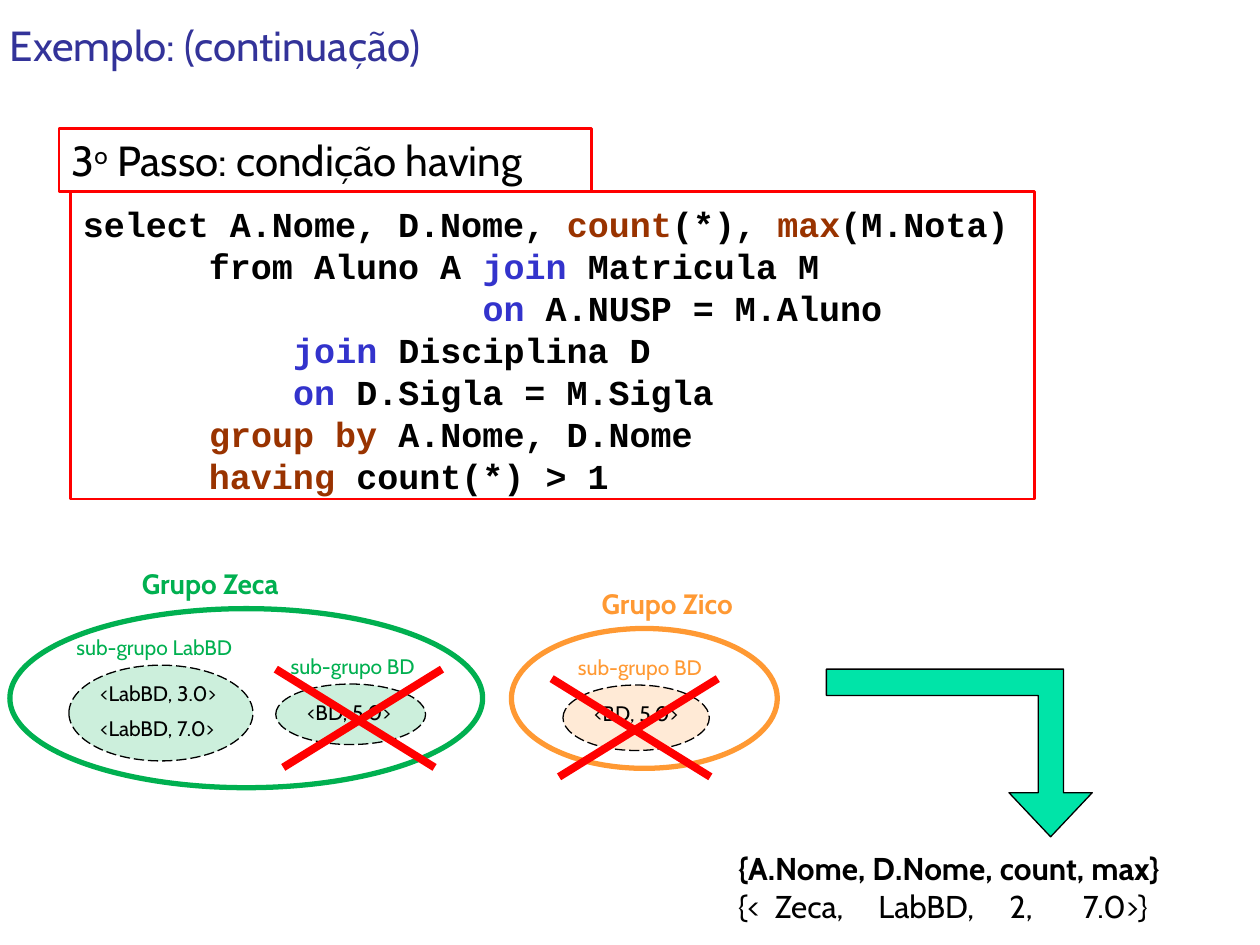
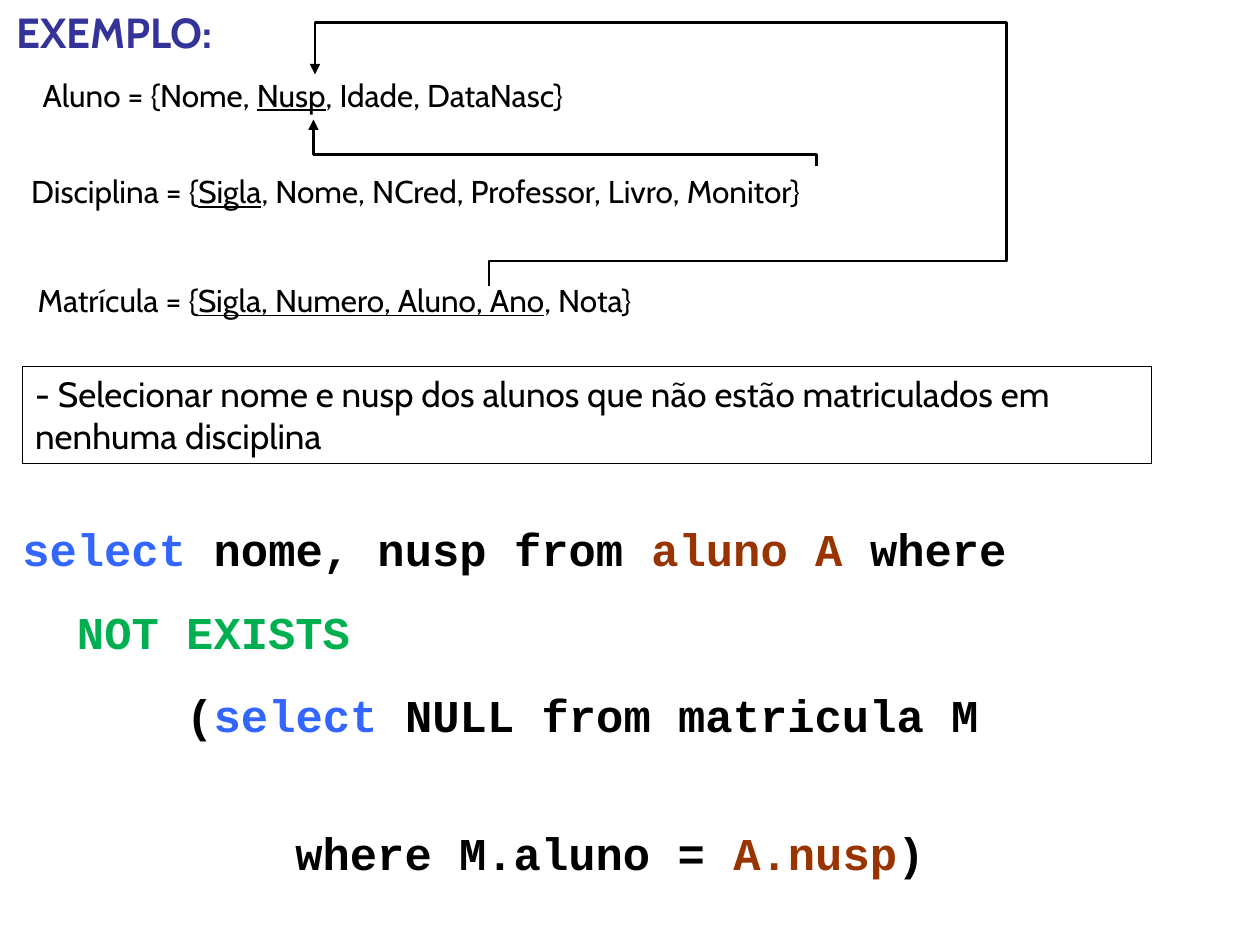
from lxml.etree import SubElement
from pptx import Presentation
from pptx.dml.color import RGBColor
from pptx.enum.dml import MSO_LINE
from pptx.enum.shapes import MSO_CONNECTOR, MSO_SHAPE
from pptx.enum.text import MSO_ANCHOR, MSO_AUTO_SIZE, PP_ALIGN
from pptx.oxml.ns import qn
from pptx.util import Cm, Pt

COLOURS = {
    "text": "000000", "title": "333399", "frame": "FF0000", "join": "3333CC",
    "select": "3366FF", "keyword": "993300", "green": "00B050",
    "orange": "FF9933", "arrow": "00E4A8",
}
PROSE, CODE = "Cabin", "Courier New"
CODE_LINE = 1.2  # line height of code, in ems


def rgb(colour):
    return RGBColor.from_string(COLOURS[colour])


def cm(*lengths):
    return [Cm(length) for length in lengths]


# Text: a paragraph is a list of runs, each (text, colour, extra format values)
def write(frame, paragraphs, size, colour="text", font=PROSE, **extra):
    for key, value in dict(word_wrap=True, auto_size=MSO_AUTO_SIZE.NONE,
                           vertical_anchor=MSO_ANCHOR.TOP).items():
        setattr(frame, key, value)
    for index, runs in enumerate(paragraphs):
        paragraph = frame.paragraphs[0] if index == 0 else frame.add_paragraph()
        paragraph.alignment = PP_ALIGN.LEFT
        for words, *style in [(runs,)] if isinstance(runs, str) else runs:
            run = paragraph.add_run()
            run.text = words
            run_colour = style[0] if style else colour
            values = dict(name=font, size=Pt(size), **extra)
            values.update(style[1] if len(style) > 1 else {})
            for key, value in values.items():
                setattr(run.font, key, value)
            run.font.color.rgb = rgb(run_colour)
    return frame


def write_code(frame, lines, size):
    write(frame, lines, size, font=CODE, bold=True)
    frame.margin_top = Cm(0.22)
    for line in frame.paragraphs:
        line.line_spacing = Pt(CODE_LINE * size)


def add_text(slide, box, paragraphs, size, **style):
    return write(slide.shapes.add_textbox(*cm(*box)).text_frame, paragraphs, size, **style)


def add_title(slide, box, words, **style):
    title = slide.shapes.title
    title.left, title.top, title.width, title.height = cm(*box)
    return write(title.text_frame, [words], 24, colour="title", **style)


# Shapes
def outline(shape, colour, width, fill=None, opacity=None):
    shape.shadow.inherit = False
    shape.line.color.rgb = rgb(colour)
    shape.line.width = Pt(width)
    if fill is None:
        shape.fill.background()
        return shape
    shape.fill.solid()
    shape.fill.fore_color.rgb = rgb(fill)
    if opacity:
        tint = shape.fill._xPr.find(".//" + qn("a:srgbClr"))
        SubElement(tint, qn("a:alpha")).set("val", str(opacity * 1000))
    return shape


def add_outlined(slide, kind, box, colour, width, **fill):
    return outline(slide.shapes.add_shape(kind, *cm(*box)), colour, width, **fill)


def add_path(slide, origin, points, width, close=False, fill=None):
    corners = [cm(origin[0] + x, origin[1] + y) for x, y in points]
    builder = slide.shapes.build_freeform(*corners[0])
    builder.add_line_segments(corners[1:], close=close)
    return outline(builder.convert_to_shape(), "text", width, fill=fill)


# Slide 1 regions
def add_step(slide, box, heading, lines):
    left, top, width, height = box
    head_height = 1.27
    head = add_outlined(slide, MSO_SHAPE.RECTANGLE, (left, top, 10.74, head_height), "frame", 1.5)
    write(head.text_frame, [heading], 24)
    ordinal = head.text_frame.paragraphs[0].runs[1]
    ordinal._r.get_or_add_rPr().set("baseline", "30000")
    body = add_outlined(slide, MSO_SHAPE.RECTANGLE,
                        (left + 0.23, top + head_height, width - 0.23, height - head_height),
                        "frame", 1.5)
    write_code(body.text_frame, lines, 20)


def add_cross(slide, left, top):
    width, height, shift = 3.2, 1.98, 0.15
    for start, end in ((0, width), (width + shift, shift)):
        stroke = slide.shapes.add_connector(
            MSO_CONNECTOR.STRAIGHT, *cm(left + start, top, left + end, top + height))
        stroke.line.color.rgb = rgb("frame")
        stroke.line.width = Pt(4.5)
        SubElement(stroke._element.spPr, qn("a:effectLst"))


def add_subgroup(slide, box, colour, name, name_shift, values, cross=None):
    left, top, width, height = box
    oval = add_outlined(slide, MSO_SHAPE.OVAL, box, "text", 0.75, fill=colour, opacity=20)
    oval.line.dash_style = MSO_LINE.LONG_DASH
    add_text(slide, (left + name_shift, top - 0.74, 4, 0.76), [name], 12, colour=colour)
    for row, value in enumerate(values):
        add_text(slide, (left + 0.38, top + 0.18 + 0.71 * row, 3.1, 0.76), [value], 12)
    if cross:
        add_cross(slide, left + cross[0], top + cross[1])


def add_group(slide, box, colour, name, name_left, subgroups):
    left, top = box[:2]
    add_outlined(slide, MSO_SHAPE.OVAL, box, colour, 3)
    add_text(slide, (left + name_left, top - 0.97, 3.7, 0.94), [name], 16,
             colour=colour, bold=True)
    for (x, y, width, height), *content in subgroups:
        add_subgroup(slide, (left + x, top + y, width, height), colour, *content)


def add_result(slide, box):
    left, top, width, height = box
    # Bent arrow leading down to the result
    add_path(slide, (left + 1.78, top), [
        (0, 0.53), (4.27, 0.53), (4.27, 2.49), (3.68, 2.49), (4.52, 3.38),
        (5.36, 2.49), (4.78, 2.49), (4.78, 0), (0, 0)], 0.75, close=True, fill="arrow")
    result = add_text(slide, (left, top + 3.63, width, height - 3.63), [
        [("{A.Nome, D.Nome, count, max}", "text", {"bold": True})],
        "{<\tZeca,\tLabBD,\t2,\t7.0>}"], 18)
    for side in ("left", "top", "right", "bottom"):
        setattr(result, f"margin_{side}", 0)
    tabs = SubElement(result.paragraphs[1]._p.get_or_add_pPr(), qn("a:tabLst"))
    for stop in cm(0.74, 2.83, 5.47, 6.95):
        tab = SubElement(tabs, qn("a:tab"))
        tab.set("pos", str(stop))
        tab.set("algn", "l")


def build_having(slide):
    title = add_title(slide, (0.2, 0.38, 11.51, 1.02), "Exemplo: (continuação)")
    title.vertical_anchor = MSO_ANCHOR.BOTTOM
    for side in ("left", "top", "right", "bottom"):
        setattr(title, f"margin_{side}", 0)

    add_step(slide, (1.19, 2.59, 19.66, 7.47),
             [("3",), ("o",), (" Passo: condição having",)], [
        [("select A.Nome, D.Nome, ",), ("count", "keyword"), ("(*), ",),
         ("max", "keyword"), ("(M.Nota)",)],
        [("      from Aluno A ",), ("join", "join"), (" Matricula M",)],
        [("                   ",), ("on", "join"), (" A.NUSP = M.Aluno",)],
        [("          ",), ("join", "join"), (" Disciplina D",)],
        [("          ",), ("on", "join"), (" D.Sigla = M.Sigla",)],
        [("      ",), ("group by ", "keyword"), ("A.Nome, D.Nome",)],
        [("      having", "keyword"), (" count(*) > 1",)],
    ])

    add_group(slide, (0.2, 12.27, 9.53, 3.61), "green", "Grupo Zeca", 2.41, [
        ((1.19, 1.14, 3.71, 1.93), "sub-grupo LabBD", -0.1, ["<LabBD, 3.0>", "<LabBD, 7.0>"]),
        ((5.36, 1.52, 3.02, 1.22), "sub-grupo BD", 0.05, ["<BD, 5.0>"], (0, -0.3)),
    ])
    add_group(slide, (10.31, 12.67, 5.36, 2.82), "orange", "Grupo Zico", 1.57, [
        ((1.04, 1.14, 2.95, 1.32), "sub-grupo BD", 0.05, ["<BD, 5.0>"], (-0.23, -0.13)),
    ])
    add_result(slide, (14.88, 13.49, 10.31, 5.15))


# Slide 2 regions
def add_schema(slide, box):
    left, top, width, _ = box
    relations = [
        (0.23, 0.94, "Aluno = {Nome, ", "Nusp", ", Idade, DataNasc}"),
        (0, 2.89, "Disciplina = {", "Sigla", ", Nome, NCred, Professor, Livro, Monitor}"),
        (0.13, 5.08, "Matrícula = {", "Sigla, Numero, Aluno, Ano", ", Nota}"),
    ]
    for x, y, start, key, rest in relations:
        add_text(slide, (left + x, top + y, width - 2, 1.02),
                 [[(start,), (key, "text", {"underline": True}), (rest,)]], 18)
    # Foreign keys, both pointing at Nusp
    references = [
        [(9.48, 5.31), (9.48, 4.8), (19.91, 4.8), (19.91, 0), (5.97, 0), (5.97, 1.04)],
        [(16.08, 2.89), (16.08, 2.66), (5.94, 2.66), (5.94, 1.95)],
    ]
    for points in references:
        link = add_path(slide, (left, top), points, 1.5)
        SubElement(link.line._get_or_add_ln(), qn("a:tailEnd")).set("type", "triangle")


def add_query(slide, box):
    frame = slide.shapes.add_textbox(*cm(*box)).text_frame
    write_code(frame, [
        [("select", "select"), (" nome, nusp from ",), ("aluno A", "keyword"), (" where",)],
        [("  ",), ("NOT EXISTS", "green")],
        [("      (",), ("select", "select"), (" NULL from matricula M",)],
        [("          where M.aluno = ",), ("A.nusp", "keyword"), (")",)],
    ], 26)
    for line, gap in zip(frame.paragraphs[1:], (16.2, 16.2, 47.4)):
        line.space_before = Pt(gap)


def build_not_exists(slide):
    add_title(slide, (0.08, 0, 4.75, 1.27), "EXEMPLO:", bold=True)
    add_schema(slide, (0.38, 0.46, 20, 6.1))
    question = add_outlined(slide, MSO_SHAPE.RECTANGLE, (0.46, 7.39, 22.76, 1.96), "text", 0.75)
    write(question.text_frame, ["- Selecionar nome e nusp dos alunos que não estão "
                                "matriculados em nenhuma disciplina"], 20)
    add_query(slide, (0.2, 10.29, 24.84, 8.5))


def main():
    deck = Presentation()
    deck.slide_width, deck.slide_height = cm(25.4, 19.05)
    title_only = deck.slide_layouts[5]
    for build in (build_having, build_not_exists):
        build(deck.slides.add_slide(title_only))
    deck.save("out.pptx")


if __name__ == "__main__":
    main()
